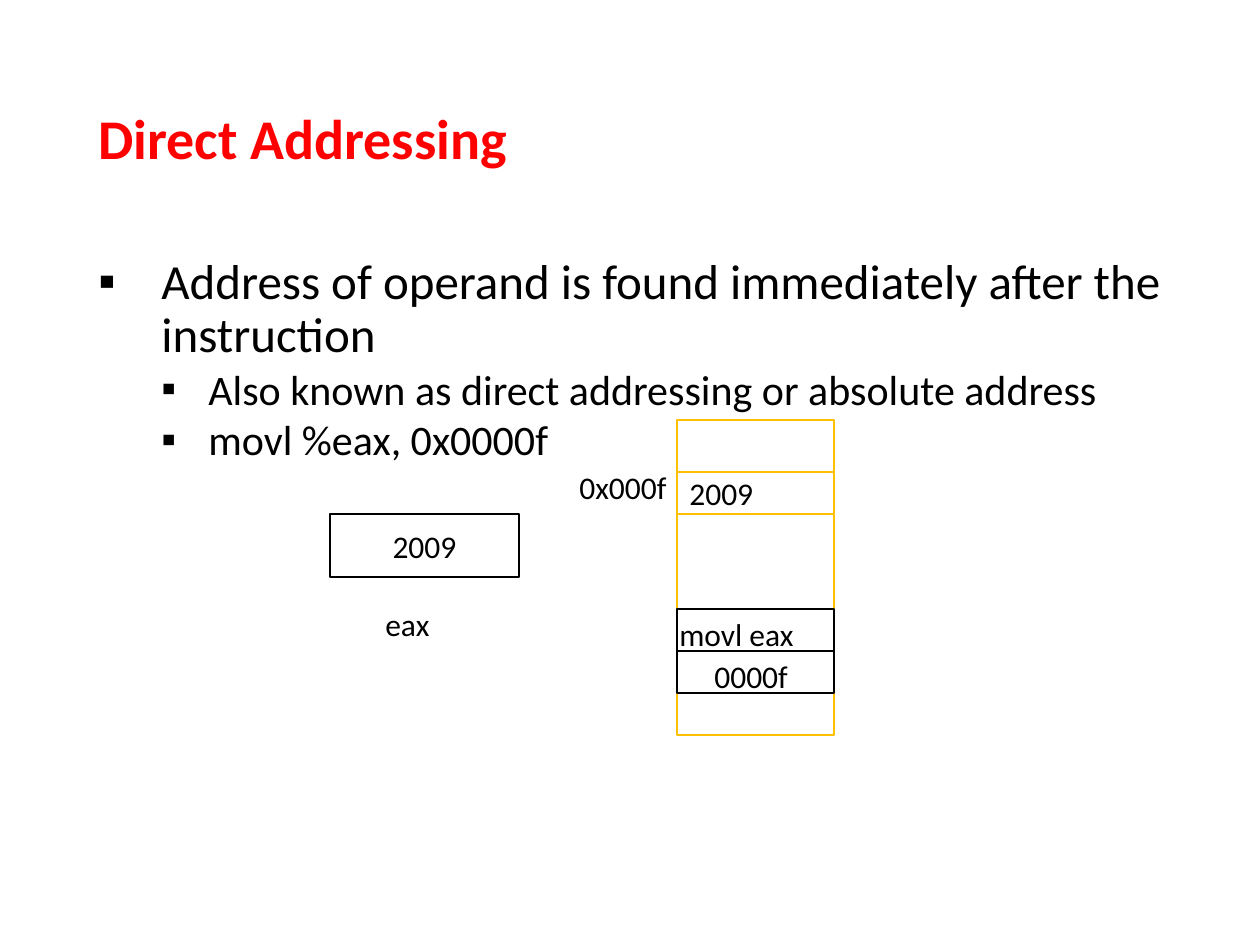
import pptx
import pptx.dml.color
import pptx.enum.shapes
import pptx.enum.text
import pptx.oxml
import pptx.oxml.ns
import pptx.util
from dataclasses import dataclass

SCALE = 914400 / 126
ALIGN = pptx.enum.text.PP_ALIGN
ANCHOR = pptx.enum.text.MSO_ANCHOR


@dataclass(frozen=True)
class Theme:
    font: str = "Calibri"
    ink: str = "000000"
    red: str = "FF0000"
    gold: str = "FFC000"
    paper: str = "FFFFFF"
    title: int = 32
    body: int = 28
    sub: int = 24
    label: int = 18


def px(num):
    return pptx.util.Emu(round(num * SCALE))


def color(code):
    return pptx.dml.color.RGBColor.from_string(code)


def write(para, text, *, font, size, ink, bold=False, align=None, space=None):
    run = para.add_run()
    run.text = text
    run.font.name = font
    run.font.size = pptx.util.Pt(size)
    run.font.bold = bold
    run.font.color.rgb = color(ink)
    para.alignment = align
    para.line_spacing = space


def bullet(para, left, hang):
    props = para._p.get_or_add_pPr()
    props.set("marL", str(px(left)))
    props.set("indent", str(-px(hang)))
    for tag, key, value in (("buFont", "typeface", "Arial"), ("buChar", "char", "▪")):
        node = pptx.oxml.parse_xml(
            f'<a:{tag} {pptx.oxml.ns.nsdecls("a")} {key}="{value}"/>')
        props.append(node)


class Page:
    def __init__(self, slide, theme):
        self.slide = slide
        self.theme = theme

    def say(self, para, text, size, ink=None, **form):
        write(para, text, font=self.theme.font, size=size,
              ink=ink or self.theme.ink, **form)

    def frame(self, box, wrap=True, anchor=ANCHOR.TOP):
        shape = self.slide.shapes.add_textbox(*map(px, box))
        frame = shape.text_frame
        frame.word_wrap = wrap
        frame.vertical_anchor = anchor
        return frame

    def title(self, text, box):
        frame = self.frame(box, anchor=ANCHOR.MIDDLE)
        self.say(frame.paragraphs[0], text, self.theme.title,
                 self.theme.red, bold=True, space=0.9)

    def points(self, items, box):
        # Size, left edge, hanging indent and line spacing for each level
        looks = ((self.theme.body, 63, 63, 0.9), (self.theme.sub, 110, 47, 1.0))
        frame = self.frame(box)
        for num, (level, text) in enumerate(items):
            para = frame.add_paragraph() if num else frame.paragraphs[0]
            size, left, hang, space = looks[level]
            para.level = level
            self.say(para, text, size, space=space)
            bullet(para, left, hang)

    def label(self, text, box):
        frame = self.frame(box, wrap=False)
        frame.margin_right = 0
        self.say(frame.paragraphs[0], text, self.theme.label)

    def rect(self, box, line, width, fill=None, text="", align=ALIGN.LEFT):
        kind = pptx.enum.shapes.MSO_SHAPE.RECTANGLE
        shape = self.slide.shapes.add_shape(kind, *map(px, box))
        shape.shadow.inherit = False
        shape.line.color.rgb = color(line)
        shape.line.width = pptx.util.Pt(width)
        if fill:
            shape.fill.solid()
            shape.fill.fore_color.rgb = color(fill)
        else:
            shape.fill.background()
        if text:
            frame = shape.text_frame
            frame.word_wrap = False
            frame.vertical_anchor = ANCHOR.MIDDLE
            self.say(frame.paragraphs[0], text, self.theme.label, align=align)


def main():
    deck = pptx.Presentation()
    deck.slide_width, deck.slide_height = px(1260), px(945)
    theme = Theme()
    page = Page(deck.slides.add_slide(deck.slide_layouts[6]), theme)

    # Heading and bullets
    page.title("Direct Addressing", (86, 50, 1087, 183))
    page.points((
        (0, "Address of operand is found immediately after the instruction"),
        (1, "Also known as direct addressing or absolute address"),
        (1, "movl %eax, 0x0000f"),
    ), (86, 251, 1088, 600))

    # Register
    page.rect((330, 514, 189, 63), theme.ink, 0.75, text="2009", align=ALIGN.CENTER)
    page.label("eax", (373, 599, 66, 50))

    # Memory column, with the instruction in two adjoining cells
    left, top, wide, row = 677, 420, 157, 42
    code = top + 189
    page.rect((left, top, wide, 315), theme.gold, 1, theme.paper)
    for num in range(2):
        page.rect((left, code + num * row, wide, row), theme.ink, 0.75)
    page.label("movl eax", (667, code, 136, 50))
    page.label("0000f", (702, code + row, 94, 50))

    # Operand cell and its address
    page.rect((left, 472, wide, row), theme.gold, 1, theme.paper, "2009")
    page.label("0x000f", (567, 462, 108, 50))

    deck.save("out.pptx")


if __name__ == "__main__":
    main()
